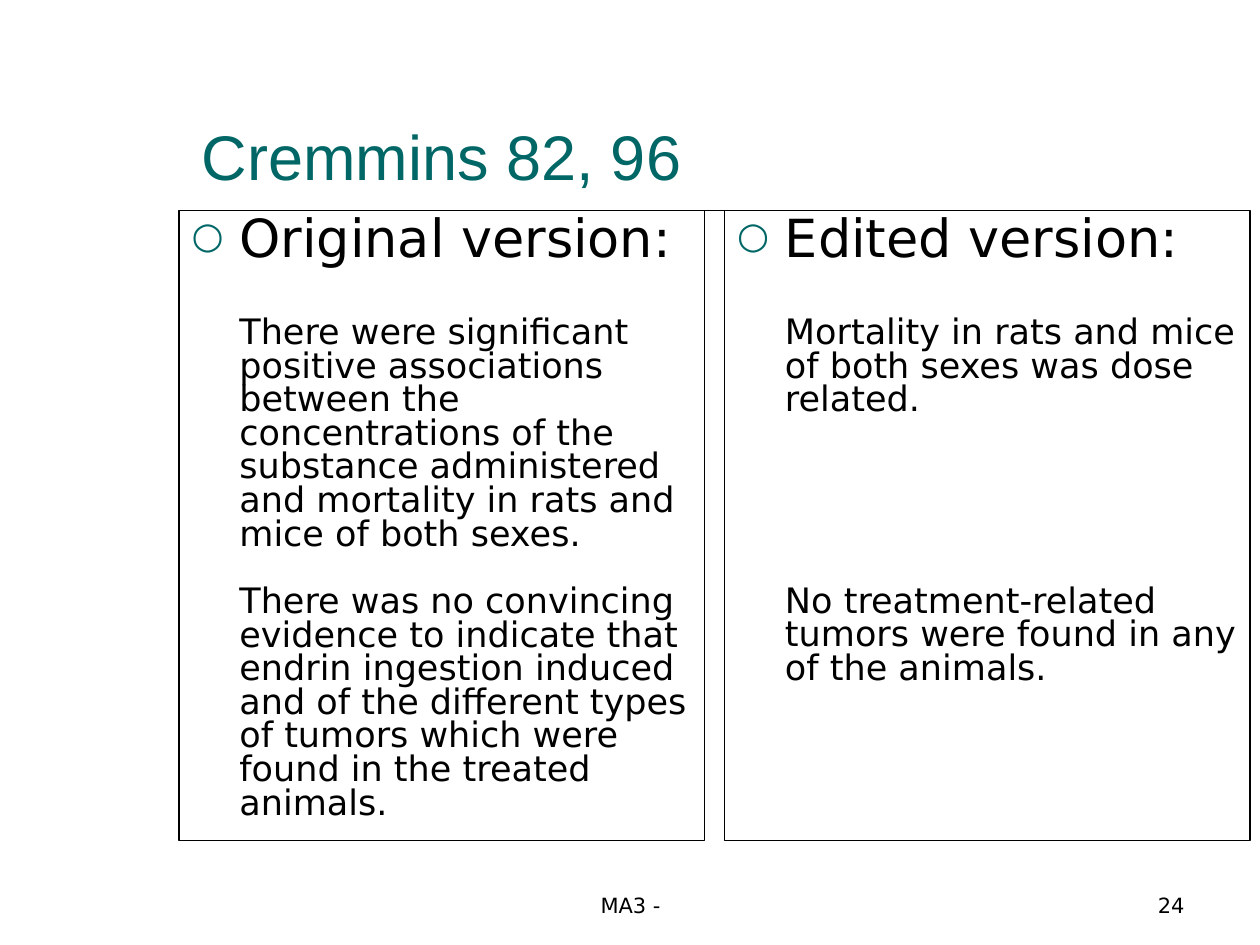
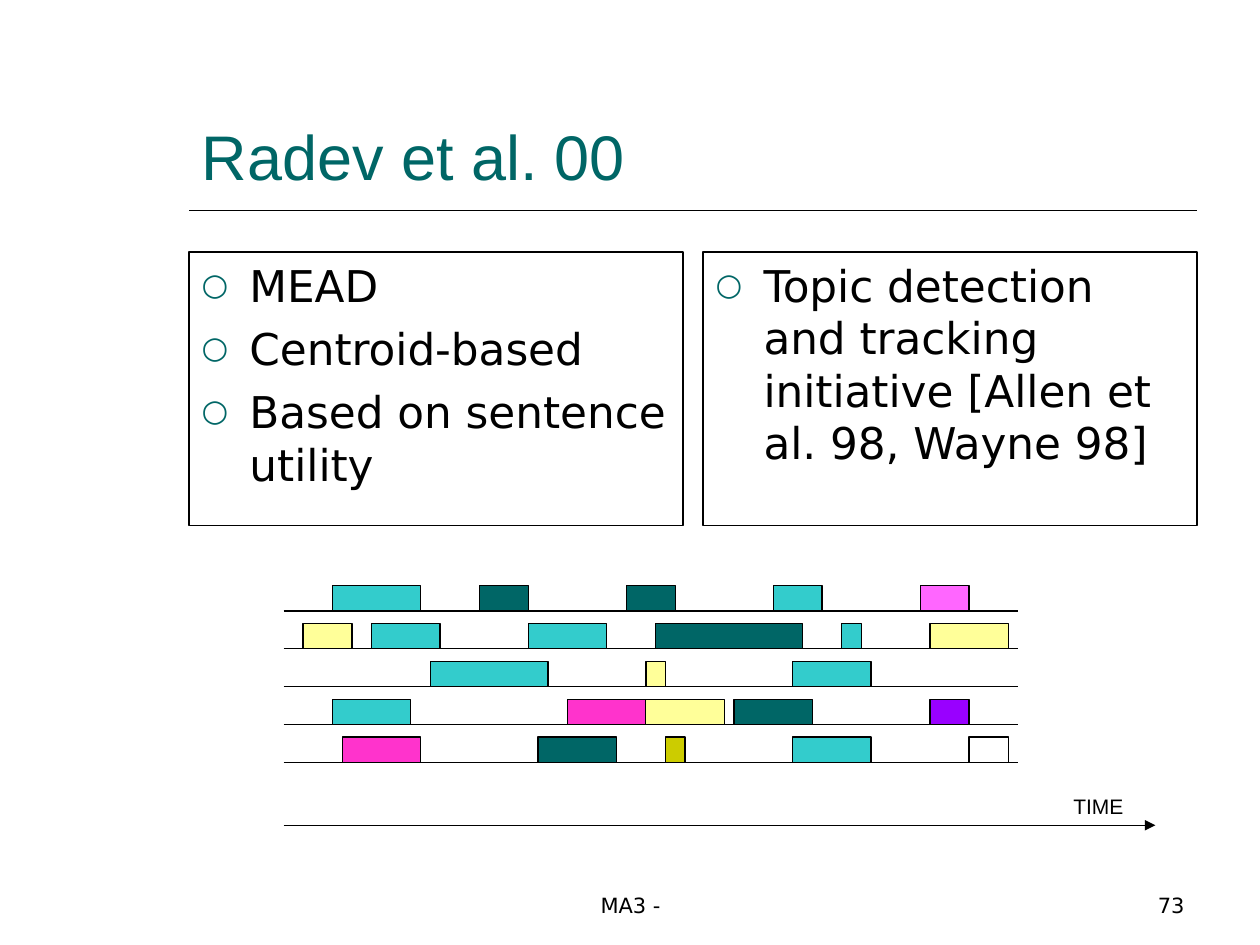
from dataclasses import dataclass

import pptx
import pptx.dml.color
import pptx.enum.shapes
import pptx.enum.text
import pptx.oxml
import pptx.oxml.ns
import pptx.util
from pptx.util import Inches

ALIGN = pptx.enum.text.PP_ALIGN
ANCHOR = pptx.enum.text.MSO_ANCHOR


@dataclass(frozen=True)
class Theme:
    black: str = "000000"
    teal: str = "006666"
    cyan: str = "33CCCC"
    pink: str = "FF66FF"
    magenta: str = "FF33CC"
    yellow: str = "FFFF99"
    olive: str = "CCCC00"
    purple: str = "9900FF"
    heading_font: str = "Arial"
    body_font: str = "DejaVu Sans"
    title_size: float = 36
    heading_size: float = 30
    list_size: float = 25
    passage_size: float = 20
    small_size: float = 12
    thin: float = 0.75
    rule: float = 1
    hanging: float = 0.38


THEME = Theme()


def color(value):
    return pptx.dml.color.RGBColor.from_string(value)


def add_element(parent, tag, **attributes):
    element = pptx.oxml.parse_xml(f"<a:{tag} {pptx.oxml.ns.nsdecls('a')}/>")
    for name, value in attributes.items():
        element.set(name, value)
    parent.append(element)
    return element


def write(frame, text, *, size, font=THEME.body_font, ink=THEME.black, align=ALIGN.LEFT,
          before=0, spacing=1.0, hanging=None, bullet=False):
    paragraph = frame.paragraphs[0]
    if paragraph.runs:
        paragraph = frame.add_paragraph()
    paragraph.alignment = align
    paragraph.space_before = pptx.util.Pt(before)
    paragraph.line_spacing = spacing
    if hanging is not None:
        properties = paragraph._p.get_or_add_pPr()
        properties.set("marL", str(Inches(hanging)))
        properties.set("indent", str(-Inches(hanging) if bullet else 0))
        if bullet:
            bullet_color = add_element(properties, "buClr")
            add_element(bullet_color, "srgbClr", val=THEME.teal)
            add_element(properties, "buSzPct", val="70000")
            add_element(properties, "buFont", typeface=THEME.body_font)
            add_element(properties, "buChar", char="○")
        else:
            add_element(properties, "buNone")
    run = paragraph.add_run()
    run.text = text
    run.font.size = pptx.util.Pt(size)
    run.font.name = font
    run.font.color.rgb = color(ink)


class Deck:
    def __init__(self, theme):
        self.theme = theme
        self.presentation = pptx.Presentation()
        self.presentation.slide_width = Inches(10)
        self.presentation.slide_height = Inches(7.5)
        self.slide = None

    def start(self, title, number):
        layout = self.presentation.slide_layouts.get_by_name("Two Content")
        self.slide = self.presentation.slides.add_slide(layout)
        frame = self.place(self.slide.shapes.title, 1.5, 0.33, 8, 1.25, ANCHOR.BOTTOM)
        write(frame, title, size=self.theme.title_size, font=self.theme.heading_font,
              ink=self.theme.teal)
        self.line(1.5, 9.5, 1.67, self.theme.rule)
        self.label("MA3 -", 3.42, 6.83, 3.17, 0.5, anchor=ANCHOR.BOTTOM, align=ALIGN.CENTER)
        self.label(str(number), 7.17, 6.83, 2.33, 0.5, anchor=ANCHOR.BOTTOM, align=ALIGN.RIGHT)

    def place(self, shape, left, top, width, height, anchor):
        shape.left, shape.top = Inches(left), Inches(top)
        shape.width, shape.height = Inches(width), Inches(height)
        frame = shape.text_frame
        frame.word_wrap = True
        frame.auto_size = pptx.enum.text.MSO_AUTO_SIZE.NONE
        frame.vertical_anchor = anchor
        return frame

    def outline(self, shape, width):
        shape.line.color.rgb = color(self.theme.black)
        shape.line.width = pptx.util.Pt(width)

    def column(self, index, left, top, width, height):
        shape = self.slide.placeholders[index]
        self.outline(shape, self.theme.thin)
        return self.place(shape, left, top, width, height, ANCHOR.TOP)

    def label(self, text, left, top, width, height, anchor=ANCHOR.TOP, **text_format):
        shape = self.slide.shapes.add_textbox(0, 0, 0, 0)
        frame = self.place(shape, left, top, width, height, anchor)
        write(frame, text, size=self.theme.small_size, **text_format)

    def line(self, start, end, top, width, arrow=False):
        connector = self.slide.shapes.add_connector(
            pptx.enum.shapes.MSO_CONNECTOR.STRAIGHT,
            Inches(start), Inches(top), Inches(end), Inches(top))
        self.outline(connector, width)
        properties = connector._element.spPr
        if arrow:
            add_element(properties.find(pptx.oxml.ns.qn("a:ln")), "tailEnd", type="triangle")
        add_element(properties, "effectLst")

    def block(self, left, top, width, height, fill):
        shape = self.slide.shapes.add_shape(
            pptx.enum.shapes.MSO_SHAPE.RECTANGLE,
            Inches(left), Inches(top), Inches(width), Inches(height))
        shape.shadow.inherit = False
        if fill:
            shape.fill.solid()
            shape.fill.fore_color.rgb = color(fill)
        else:
            shape.fill.background()
        self.outline(shape, self.theme.thin)


def build_versions(deck):
    theme = deck.theme
    deck.start("Cremmins 82, 96", 24)
    versions = [
        ("Original version:", 19.2,
         "There were significant positive associations between the concentrations of the "
         "substance administered and mortality in rats and mice of both sexes.",
         "There was no convincing evidence to indicate that endrin ingestion induced and of "
         "the different types of tumors which were found in the treated animals."),
        ("Edited version:", 96,
         "Mortality in rats and mice of both sexes was dose related.",
         "No treatment-related tumors were found in any of the animals."),
    ]
    for index, (heading, gap, mortality, tumors) in enumerate(versions):
        frame = deck.column(index + 1, 1.42 + 4.33 * index, 1.67, 4.17, 5)
        shared = {"spacing": 0.8, "hanging": theme.hanging}
        write(frame, heading, size=theme.heading_size, bullet=True, **shared)
        write(frame, mortality, size=theme.passage_size, before=28.8, **shared)
        write(frame, tumors, size=theme.passage_size, before=gap, **shared)


def build_timeline(deck):
    theme = deck.theme
    deck.start("Radev et al. 00", 73)
    columns = [
        ["MEAD", "Centroid-based", "Based on sentence utility"],
        ["Topic detection and tracking initiative [Allen et al. 98, Wayne 98]"],
    ]
    for index, items in enumerate(columns):
        frame = deck.column(index + 1, 1.5 + 4.08 * index, 2, 3.92, 2.17)
        for position, item in enumerate(items):
            write(frame, item, size=theme.list_size, before=6.2 if position else 0,
                  hanging=theme.hanging, bullet=True)

    tracks = [
        [(5, 9, theme.cyan), (20, 5, theme.teal), (35, 5, theme.teal),
         (50, 5, theme.cyan), (65, 5, theme.pink)],
        [(2, 5, theme.yellow), (9, 7, theme.cyan), (25, 8, theme.cyan),
         (38, 15, theme.teal), (57, 2, theme.cyan), (66, 8, theme.yellow)],
        [(15, 12, theme.cyan), (37, 2, theme.yellow), (52, 8, theme.cyan)],
        [(5, 8, theme.cyan), (29, 8, theme.magenta), (37, 8, theme.yellow),
         (46, 8, theme.teal), (66, 4, theme.purple)],
        [(6, 8, theme.magenta), (26, 8, theme.teal), (39, 2, theme.olive),
         (52, 8, theme.cyan), (70, 4, None)],
    ]
    left, right, block_height = 2.25, 8.08, 0.2
    step = (right - left) / 75
    for row, blocks in enumerate(tracks):
        baseline = 4.85 + 0.3 * row
        deck.line(left, right, baseline, theme.thin)
        for start, length, fill in blocks:
            deck.block(left + start * step, baseline - block_height,
                       length * step, block_height, fill)
    deck.line(left, 9.17, 6.55, theme.thin, arrow=True)
    deck.label("TIME", 8.42, 6.25, 0.83, 0.3, font=theme.heading_font)


def main():
    deck = Deck(THEME)
    build_versions(deck)
    build_timeline(deck)
    deck.presentation.save("out.pptx")


if __name__ == "__main__":
    main()
